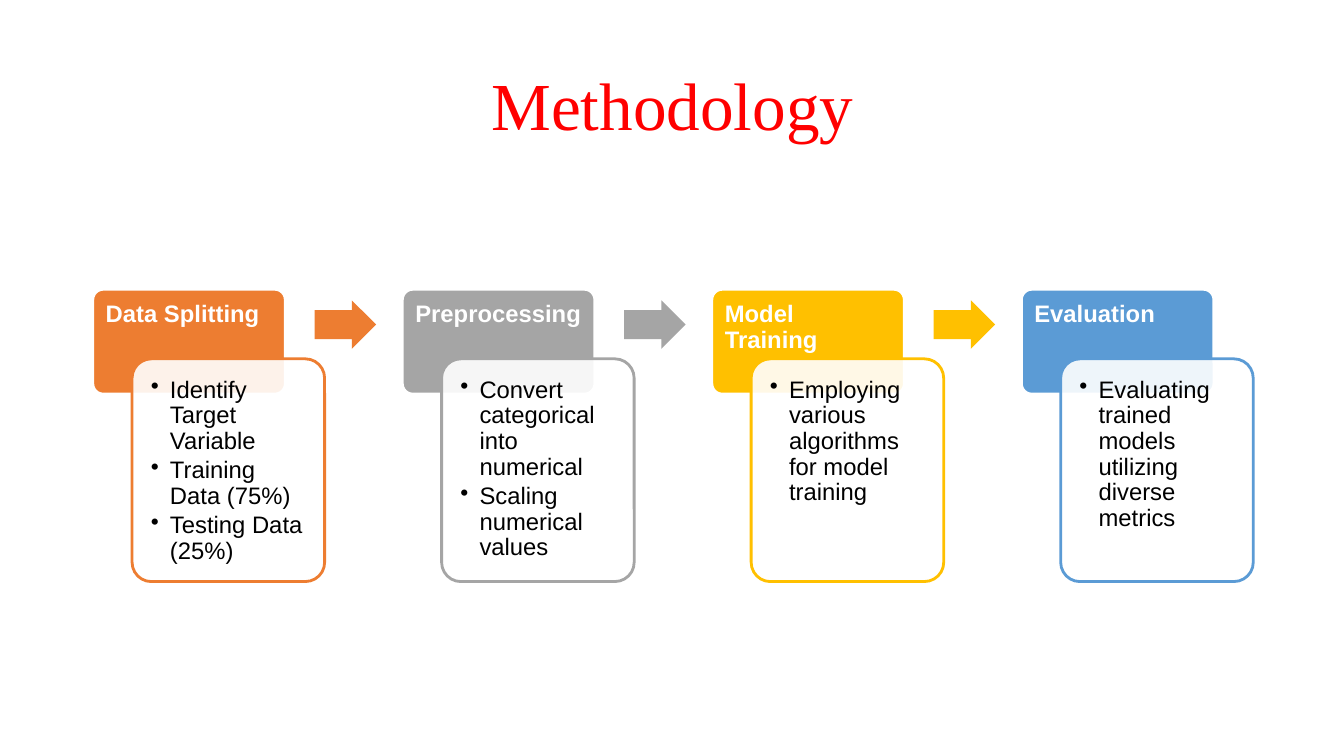
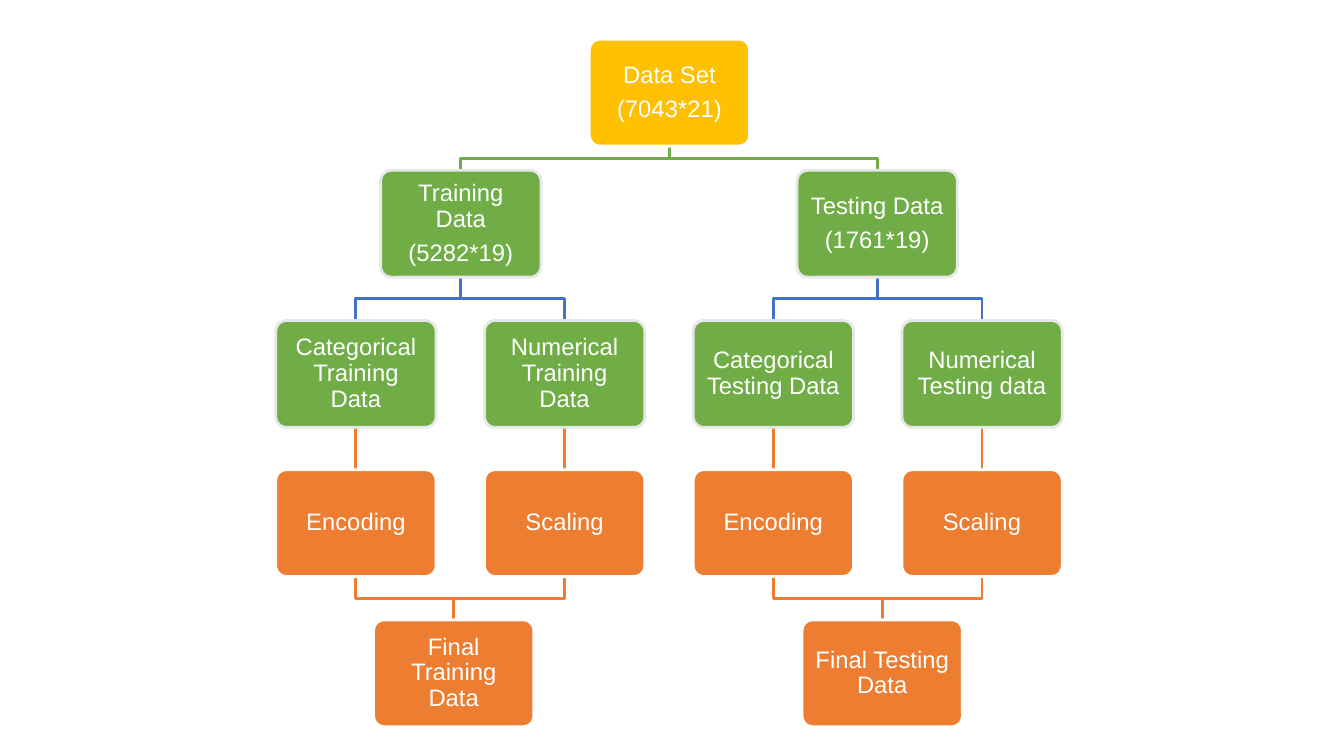
from lxml.etree import SubElement
from pptx import Presentation
from pptx.dml.color import RGBColor
from pptx.enum.shapes import MSO_CONNECTOR, MSO_SHAPE
from pptx.enum.text import MSO_ANCHOR, PP_ALIGN
from pptx.oxml.ns import qn
from pptx.util import Inches, Pt


class Theme:
    red = RGBColor(0xFF, 0x00, 0x00)
    black = RGBColor(0x00, 0x00, 0x00)
    white = RGBColor(0xFF, 0xFF, 0xFF)
    pale = RGBColor(0xE7, 0xE7, 0xE7)
    orange = RGBColor(0xED, 0x7D, 0x31)
    gray = RGBColor(0xA5, 0xA5, 0xA5)
    gold = RGBColor(0xFF, 0xC0, 0x00)
    sky = RGBColor(0x5B, 0x9B, 0xD5)
    blue = RGBColor(0x44, 0x72, 0xC4)
    green = RGBColor(0x70, 0xAD, 0x47)
    title_font, body_font = "Times New Roman", "Arial"
    title_size, body_size = Pt(48), Pt(17)
    line_width = Pt(2)


def add_card(s, x, y, w, h, fill, line, lines, margins, color=Theme.white,
             align=PP_ALIGN.LEFT, anchor=MSO_ANCHOR.TOP, bold=False, after=6):
    """Rounded box with one paragraph per line; margins are left, top, right, bottom."""
    sp = s.shapes.add_shape(MSO_SHAPE.ROUNDED_RECTANGLE,
                            Inches(x), Inches(y), Inches(w), Inches(h))
    sp.adjustments[0] = 0.1
    sp.shadow.inherit = False
    sp.fill.solid()
    sp.fill.fore_color.rgb = fill
    sp.line.color.rgb = line
    sp.line.width = Theme.line_width
    tf = sp.text_frame
    tf.word_wrap = True
    tf.vertical_anchor = anchor
    tf.margin_left, tf.margin_top, tf.margin_right, tf.margin_bottom = map(Inches, margins)
    tf.text = "\n".join(lines)
    for p in tf.paragraphs:
        p.alignment = align
        p.line_spacing = 0.9
        p.space_after = Pt(after)
        p.font.name = Theme.body_font
        p.font.size = Theme.body_size
        p.font.bold = bold
        p.font.color.rgb = color
    return sp


def add_link(s, x1, y1, x2, y2, color):
    """Straight line, or an elbow that turns halfway down."""
    if x1 == x2:
        ln = s.shapes.add_connector(MSO_CONNECTOR.STRAIGHT,
                                    Inches(x1), Inches(y1), Inches(x2), Inches(y2))
        SubElement(ln._element.spPr, qn("a:effectLst"))
    else:
        mid = (y1 + y2) / 2
        fb = s.shapes.build_freeform(Inches(x1), Inches(y1))
        fb.add_line_segments([(Inches(x), Inches(y)) for x, y in
                              ((x1, mid), (x2, mid), (x2, y2))], close=False)
        ln = fb.convert_to_shape()
        ln.fill.background()
        ln.shadow.inherit = False
    ln.line.color.rgb = color
    ln.line.width = Theme.line_width


prs = Presentation()
prs.slide_width, prs.slide_height = Inches(13.33), Inches(7.5)
blank = prs.slide_layouts[6]

# Methodology: four steps joined by arrows
s = prs.slides.add_slide(blank)
title = s.shapes.add_textbox(Inches(0.92), Inches(0.73), Inches(11.5), Inches(0.75))
title.text_frame.word_wrap = True
p = title.text_frame.paragraphs[0]
p.text = "Methodology"
p.alignment = PP_ALIGN.CENTER
p.line_spacing = 0.8
p.font.name = Theme.title_font
p.font.size = Theme.title_size
p.font.color.rgb = Theme.red

steps = [
    ("Data Splitting", Theme.orange,
     ["Identify Target Variable", "Training Data (75%)", "Testing Data (25%)"]),
    ("Preprocessing", Theme.gray,
     ["Convert categorical into numerical", "Scaling numerical values"]),
    ("Model Training", Theme.gold, ["Employing various algorithms for model training"]),
    ("Evaluation", Theme.sky, ["Evaluating trained models utilizing diverse metrics"]),
]
for i, (heading, color, bullets) in enumerate(steps):
    x = 0.92 + 3.07 * i
    add_card(s, x, 2.87, 1.91, 1.04, color, Theme.white, [heading],
             (0.1, 0.1, 0.09, 0.07), bold=True)
    body = add_card(s, x + 0.39, 3.56, 1.91, 2.21, Theme.white, color, bullets,
                    (0.13, 0.13, 0.13, 0.13), color=Theme.black, after=2.5)
    fill_color = body._element.spPr.find(qn("a:solidFill"))[0]
    SubElement(fill_color, qn("a:alpha"), val="90000")
    for p in body.text_frame.paragraphs:
        pPr = p._p.get_or_add_pPr()
        pPr.set("marL", str(Inches(0.19)))
        pPr.set("indent", str(-Inches(0.19)))
        bullet = pPr.makeelement(qn("a:buChar"), {"char": "•"})
        pPr.insert_element_before(bullet, "a:tabLst", "a:defRPr", "a:extLst")
    if i < len(steps) - 1:
        arrow = s.shapes.add_shape(MSO_SHAPE.RIGHT_ARROW, Inches(x + 2.2), Inches(2.98),
                                   Inches(0.61), Inches(0.48))
        arrow.adjustments[0], arrow.adjustments[1] = 0.6, 0.5
        arrow.shadow.inherit = False
        arrow.fill.solid()
        arrow.fill.fore_color.rgb = color
        arrow.line.fill.background()

# Data flow: the set splits, is prepared and comes together again
s = prs.slides.add_slide(blank)
node_w, node_h = 1.59, 1.06
root_y, split_y, kind_y, prep_y, final_y = 0.39, 1.69, 3.18, 4.66, 6.15
root_x = 6.64
nodes = [(root_x, root_y, Theme.gold, Theme.white, ["Data Set", "(7043*21)"])]
links = []
branches = [
    (4.57, 4.5, ["Training Data", "(5282*19)"],
     ["Categorical Training Data", "Numerical Training Data"], "Final Training Data"),
    (8.7, 8.75, ["Testing Data", "(1761*19)"],
     ["Categorical Testing Data", "Numerical Testing data"], "Final Testing Data"),
]
for b, (split_x, final_x, split, kinds, final) in enumerate(branches):
    nodes.append((split_x, split_y, Theme.green, Theme.pale, split))
    links.append((root_x, root_y, split_x, split_y, Theme.green))
    for k, (kind, prep) in enumerate(zip(kinds, ("Encoding", "Scaling"))):
        x = 3.53 + 2.07 * (2 * b + k)
        nodes.append((x, kind_y, Theme.green, Theme.pale, [kind]))
        nodes.append((x, prep_y, Theme.orange, Theme.white, [prep]))
        links.append((split_x, split_y, x, kind_y, Theme.blue))
        links.append((x, kind_y, x, prep_y, Theme.orange))
        links.append((x, prep_y, final_x, final_y, Theme.orange))
    nodes.append((final_x, final_y, Theme.orange, Theme.white, [final]))

for x1, y1, x2, y2, color in links:
    add_link(s, x1, y1 + node_h, x2, y2, color)
for x, y, fill, line, lines in nodes:
    add_card(s, x - node_w / 2, y, node_w, node_h, fill, line, lines, (0.07,) * 4,
             align=PP_ALIGN.CENTER, anchor=MSO_ANCHOR.MIDDLE)

prs.save("out.pptx")
